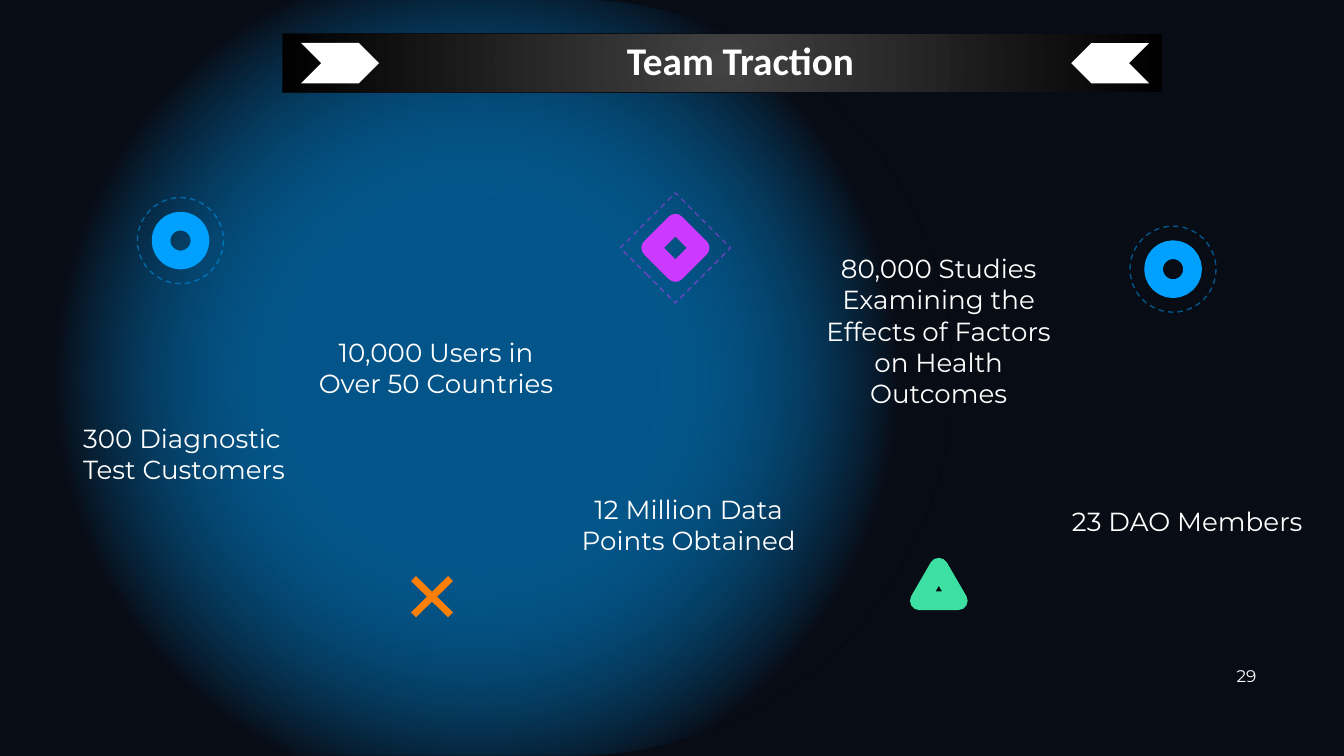
"""Build the team traction slide on a grid of 100 columns of a tenth of an inch."""
from dataclasses import dataclass
from typing import Any

from lxml.etree import SubElement
from pptx import Presentation
from pptx.dml.color import RGBColor
from pptx.enum.dml import MSO_LINE
from pptx.enum.shapes import MSO_SHAPE
from pptx.enum.text import MSO_ANCHOR, MSO_AUTO_SIZE, PP_ALIGN
from pptx.oxml.ns import qn
from pptx.util import Inches, Pt

COLS, ROWS = 100, 56.25
CELL = Inches(10) / COLS
HUES = {
    "night": "080C15", "blue": "00A0FE", "pink": "CD3AFF", "green": "3DE0A2",
    "flame": "FD7F08", "white": "FFFFFF", "grey": "424242", "black": "010101",
}
BODY = {"size": Pt(14), "name": "Montserrat"}
HEAD = {"size": Pt(21), "name": "Calibri", "bold": True}
PAGE = {"size": Pt(9), "name": "Montserrat"}


@dataclass(frozen=True)
class Box:
    left: float
    top: float
    wide: float
    high: float

    def place(self) -> list[int]:
        return [round(n * CELL) for n in (self.left, self.top, self.wide, self.high)]


@dataclass(frozen=True)
class Stop:
    share: int
    hue: str
    alpha: int = 100


@dataclass(frozen=True)
class Mark:
    form: Any
    hue: str
    mid: tuple[float, float]
    core: float
    halo: float
    turn: int = 0


@dataclass(frozen=True)
class Note:
    text: str
    box: Box
    font: dict[str, Any]
    align: Any = PP_ALIGN.CENTER
    anchor: Any = MSO_ANCHOR.MIDDLE
    inset: tuple[float, float] = (1, 1)
    size: Any = MSO_AUTO_SIZE.SHAPE_TO_FIT_TEXT


GLOW = [Stop(0, "blue", 50), Stop(30, "blue", 50), Stop(70, "night"), Stop(100, "night")]
STEEL = [Stop(0, "grey"), Stop(100, "black")]
MARKS = [
    Mark(MSO_SHAPE.OVAL, "blue", (13.43, 17.9), 2.9, 6.4),
    Mark(MSO_SHAPE.RECTANGLE, "pink", (50.25, 18.45), 2.6, 5.8, 45),
    Mark(MSO_SHAPE.OVAL, "blue", (87.28, 20.03), 2.9, 6.4),
]
NOTES = [
    Note("29", Box(91.3, 48.8, 2.9, 3), PAGE, inset=(0.4, 0.2), size=MSO_AUTO_SIZE.NONE),
    Note("Team Traction", Box(27.5, 1.7, 55.2, 5.6), HEAD, anchor=MSO_ANCHOR.TOP),
    Note("10,000 Users in Over 50 Countries", Box(22.7, 22.8, 19.5, 9.1), BODY),
    Note("300 Diagnostic Test Customers", Box(5.2, 30.4, 17.7, 6.7), BODY, PP_ALIGN.LEFT),
    Note("12 Million Data Points Obtained", Box(41.5, 35.7, 19.5, 6.7), BODY),
    Note("80,000 Studies Examining the Effects of Factors on Health Outcomes",
         Box(60.1, 17.7, 19.5, 13.8), BODY),
    Note("23 DAO Members", Box(78.6, 36.6, 19.5, 4.4), BODY),
]


def tint(hue: str) -> RGBColor:
    return RGBColor.from_string(HUES[hue])


def apply(target: Any, values: dict[str, Any]) -> None:
    for key, value in values.items():
        setattr(target, key, value)


def draw(slide: Any, form: Any, box: Box, turn: int = 0, adjust: tuple = ()) -> Any:
    shape = slide.shapes.add_shape(form, *box.place())
    shape.shadow.inherit = False
    shape.rotation = turn
    for slot, value in enumerate(adjust):
        shape.adjustments[slot] = value
    shape.fill.background()
    shape.line.fill.background()
    return shape


def paint(shape: Any, hue: str) -> None:
    shape.fill.solid()
    shape.fill.fore_color.rgb = tint(hue)


def blend(shape: Any, stops: list[Stop]) -> None:
    shape.fill.gradient()
    grad = shape._element.spPr.find(qn("a:gradFill"))
    for child in list(grad):
        grad.remove(child)
    group = SubElement(grad, qn("a:gsLst"))
    for stop in stops:
        point = SubElement(group, qn("a:gs"), pos=str(stop.share * 1000))
        shade = SubElement(point, qn("a:srgbClr"), val=HUES[stop.hue])
        if stop.alpha < 100:
            SubElement(shade, qn("a:alpha"), val=str(stop.alpha * 1000))
    ring = SubElement(grad, qn("a:path"), path="circle")
    SubElement(ring, qn("a:fillToRect"), dict.fromkeys("ltrb", "50000"))


def edge(shape: Any, hue: str, width: float) -> None:
    shape.line.color.rgb = tint(hue)
    shape.line.width = Pt(width)


def fade(shape: Any, alpha: int) -> None:
    for shade in shape.line._ln.iter(qn("a:srgbClr")):
        SubElement(shade, qn("a:alpha"), val=str(alpha * 1000))


def stamp(slide: Any, mark: Mark) -> None:
    for span, width in ((mark.core, 10), (mark.halo, 0.75)):
        left, top = (n - span / 2 for n in mark.mid)
        shape = draw(slide, mark.form, Box(left, top, span, span), mark.turn)
        edge(shape, mark.hue, width)
    shape.line.dash_style = MSO_LINE.DASH
    fade(shape, 50)


def write(slide: Any, note: Note) -> None:
    frame = slide.shapes.add_textbox(*note.box.place()).text_frame
    side, end = (round(n * CELL) for n in note.inset)
    apply(frame, {
        "word_wrap": True, "auto_size": note.size, "vertical_anchor": note.anchor,
        "margin_left": side, "margin_right": side, "margin_top": end, "margin_bottom": end,
    })
    line = frame.paragraphs[0]
    line.alignment = note.align
    run = line.add_run()
    run.text = note.text
    apply(run.font, note.font)
    run.font.color.rgb = tint("white")


def main() -> None:
    deck = Presentation()
    apply(deck, {"slide_width": round(COLS * CELL), "slide_height": round(ROWS * CELL)})
    slide = deck.slides.add_slide(deck.slide_layouts[6])
    slide.background.fill.solid()
    slide.background.fill.fore_color.rgb = tint("night")

    reach = 70.9
    shift = (reach - ROWS) / 2
    glow = draw(slide, MSO_SHAPE.ROUND_2_SAME_RECTANGLE,
                Box(shift, -shift, ROWS, reach), 90, (0.5, 0))
    blend(glow, GLOW)

    cross = draw(slide, MSO_SHAPE.MATH_MULTIPLY, Box(29.5, 41.8, 5.3, 5.2), adjust=(0.1,))
    paint(cross, "flame")
    peak = draw(slide, MSO_SHAPE.ISOSCELES_TRIANGLE, Box(68.4, 42.2, 2.9, 2.5))
    edge(peak, "green", 10)
    for mark in MARKS:
        stamp(slide, mark)

    strip = draw(slide, MSO_SHAPE.RECTANGLE, Box(21, 2.5, 65.5, 4.4))
    blend(strip, STEEL)
    edge(strip, "night", 0.75)
    for left, turn in ((22.4, 0), (79.7, 180)):
        paint(draw(slide, MSO_SHAPE.CHEVRON, Box(left, 3.2, 5.8, 3), turn, (0.5,)), "white")
    for note in NOTES:
        write(slide, note)
    deck.save("out.pptx")


if __name__ == "__main__":
    main()
